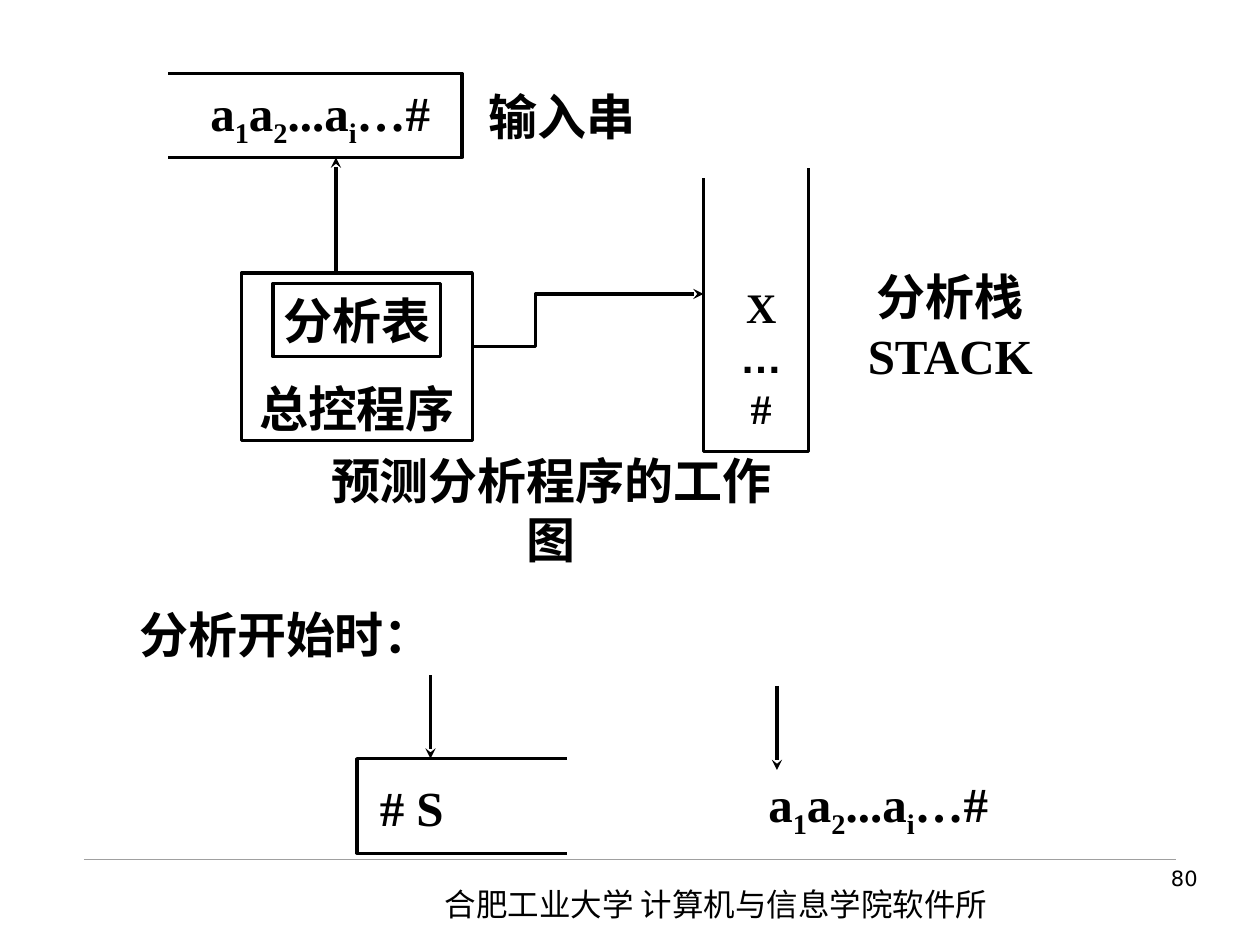
"""Build the slide on how a predictive parser works."""
from dataclasses import dataclass
from typing import Any, Optional

import lxml.etree
import pptx
import pptx.dml.color
import pptx.enum.shapes
import pptx.enum.text
import pptx.oxml.ns
import pptx.util

Pt = pptx.util.Pt
qn = pptx.oxml.ns.qn
ALIGN = pptx.enum.text.PP_ALIGN
ANCHOR = pptx.enum.text.MSO_ANCHOR
BLACK = pptx.dml.color.RGBColor(0, 0, 0)
GREY = pptx.dml.color.RGBColor(0xA0, 0xA0, 0xA0)
SERIF = "Times New Roman"
CHINESE = "Noto Sans CJK SC"
SYMBOLS = "a_1a_2...a_i…#"


@dataclass
class Label:
    lines: tuple[str, ...]
    left: float
    top: float
    width: float
    height: float
    size: float = 28
    fonts: tuple[str, ...] = (SERIF,)
    bold: bool = True
    align: Any = ALIGN.CENTER
    anchor: Any = ANCHOR.MIDDLE
    wrap: bool = False
    framed: bool = False
    bottom_inset: float = 3.6


@dataclass
class Stroke:
    points: tuple[tuple[float, float], ...]
    arrow: bool = False
    color: pptx.dml.color.RGBColor = BLACK
    width: float = 1.75


CAPTION = Label(("预测分析程序的工作图",), 174, 270, 282, 42)

LABELS = (
    Label(("合肥工业大学 计算机与信息学院软件所",), 247, 502, 345.5, 29, size=18, fonts=(CHINESE,),
          bold=False, align=ALIGN.LEFT, anchor=ANCHOR.TOP, wrap=True),
    Label(("80",), 535.5, 491, 156, 37, size=12, fonts=("DejaVu Sans",),
          bold=False, align=ALIGN.RIGHT, anchor=ANCHOR.TOP, wrap=True),
    Label(("总控程序",), 138, 156, 132, 96, anchor=ANCHOR.BOTTOM, framed=True, bottom_inset=2),
    Label(("分析表",), 156, 162, 96, 42, framed=True),
    Label(("X", "…", "#"), 414, 156, 42, 96, size=24, fonts=(SERIF, "Arial", SERIF)),
    Label(("输入串",), 246, 48, 150, 36),
    Label(("分析栈", "STACK"), 468, 168, 150, 36),
    Label((SYMBOLS,), 108, 48, 150, 36),
    Label(("# S",), 210, 440, 102, 42, align=ALIGN.LEFT),
    Label((SYMBOLS,), 432, 440, 102, 42, align=ALIGN.LEFT),
    Label(("分析开始时：",), 72.5, 342, 182, 41, align=ALIGN.LEFT, anchor=ANCHOR.TOP),
)

STROKES = (
    Stroke(((48, 491), (672, 491)), color=GREY, width=0.25),
    Stroke(((402, 102), (402, 258), (462, 258), (462, 96))),
    Stroke(((96, 42), (264, 42), (264, 90), (96, 90))),
    Stroke(((192, 156), (192, 90)), arrow=True),
    Stroke(((270, 198), (306, 198), (306, 168), (402, 168)), arrow=True),
    Stroke(((324, 433.5), (204, 433.5), (204, 487.5), (324, 487.5))),
    Stroke(((246, 386), (246, 433.5)), arrow=True),
    Stroke(((444, 392), (444, 440)), arrow=True),
)


def add_span(para: Any, text: str, *, font: str, size: float, bold: bool,
             subscript: bool = False) -> None:
    if not text:
        return
    span = para.add_run()
    span.text = text
    span.font.name = font
    span.font.size = Pt(size)
    span.font.bold = bold
    span.font.color.rgb = BLACK
    properties = span._r.get_or_add_rPr()
    if any("一" <= letter <= "龥" for letter in text):
        lxml.etree.SubElement(properties, qn("a:ea"), typeface=CHINESE)
    if subscript:
        properties.set("baseline", "-25000")


def write_label(box: Any, label: Label) -> None:
    box.left, box.top = Pt(label.left), Pt(label.top)
    box.width, box.height = Pt(label.width), Pt(label.height)
    frame = box.text_frame
    frame.auto_size = pptx.enum.text.MSO_AUTO_SIZE.NONE
    frame.word_wrap = label.wrap
    frame.vertical_anchor = label.anchor
    frame.margin_bottom = Pt(label.bottom_inset)
    fonts = label.fonts if len(label.fonts) > 1 else label.fonts * len(label.lines)
    for index, (line, font) in enumerate(zip(label.lines, fonts)):
        para = frame.add_paragraph() if index else frame.paragraphs[0]
        para.alignment = label.align
        style = {"font": font, "size": label.size, "bold": label.bold}
        first, *rest = line.split("_")
        add_span(para, first, **style)
        for piece in rest:
            add_span(para, piece[0], subscript=True, **style)
            add_span(para, piece[1:], **style)


def draw_label(page: Any, label: Label) -> None:
    area = [Pt(value) for value in (label.left, label.top, label.width, label.height)]
    if label.framed:
        box = page.shapes.add_shape(pptx.enum.shapes.MSO_SHAPE.RECTANGLE, *area)
        box.shadow.inherit = False
        box.fill.background()
        box.line.color.rgb = BLACK
        box.line.width = Pt(1.75)
    else:
        box = page.shapes.add_textbox(*area)
    write_label(box, label)


def draw_stroke(page: Any, stroke: Stroke) -> None:
    points = [(Pt(x), Pt(y)) for x, y in stroke.points]
    if len(points) == 2:
        shape = page.shapes.add_connector(
            pptx.enum.shapes.MSO_CONNECTOR.STRAIGHT, *points[0], *points[1])
    else:
        builder = page.shapes.build_freeform(*points[0])
        builder.add_line_segments(points[1:], close=False)
        shape = builder.convert_to_shape()
        shape.fill.background()
    shape.line.color.rgb = stroke.color
    shape.line.width = Pt(stroke.width)
    properties = shape._element.spPr
    lxml.etree.SubElement(properties, qn("a:effectLst"))
    if stroke.arrow:
        lxml.etree.SubElement(properties.find(qn("a:ln")), qn("a:tailEnd"), type="stealth")


def find_layout(deck: Any, name: str) -> Optional[Any]:
    return deck.slide_layouts.get_by_name(name)


def main() -> None:
    deck = pptx.Presentation()
    deck.slide_width, deck.slide_height = Pt(720), Pt(540)
    page = deck.slides.add_slide(find_layout(deck, "Title Only"))
    write_label(page.shapes.title, CAPTION)
    for stroke in STROKES:
        draw_stroke(page, stroke)
    for label in LABELS:
        draw_label(page, label)
    deck.save("out.pptx")


if __name__ == "__main__":
    main()
